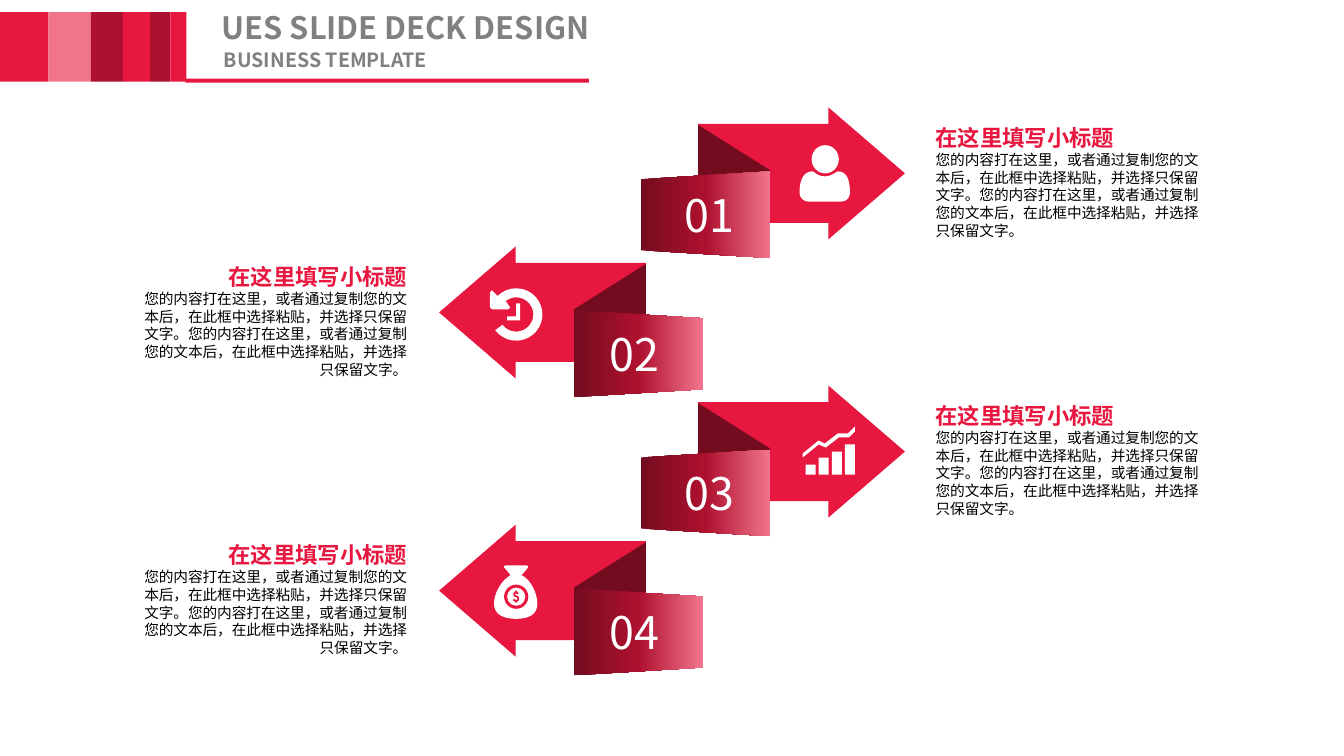
import copy
import math

import lxml.etree
import pptx
import pptx.dml.color
import pptx.enum.shapes
import pptx.enum.text
import pptx.oxml.ns
import pptx.util

Inches = pptx.util.Inches
SHAPE = pptx.enum.shapes.MSO_SHAPE
ALIGN = pptx.enum.text.PP_ALIGN
MIDDLE = pptx.enum.text.MSO_ANCHOR.MIDDLE
RGB = pptx.dml.color.RGBColor
RED = RGB(0xE8, 0x17, 0x3F)
PINK = RGB(0xF1, 0x74, 0x8C)
DARK = RGB(0xAE, 0x11, 0x2F)
DEEP = RGB(0x74, 0x0C, 0x1F)
GRAY = RGB(0x80, 0x80, 0x80)
BLACK = RGB(0, 0, 0)
WHITE = RGB(255, 255, 255)
FONT = "Noto Sans CJK SC"
HEAD = "在这里填写小标题"
BODY = "您的内容打在这里，或者通过复制您的文本后，在此框中选择粘贴，并选择只保留文字。" * 2
SPAN = 2.61


def paint(shape, color):
    """Fill a shape plainly, without line or shadow."""
    shape.shadow.inherit = False
    shape.line.fill.background()
    shape.fill.solid()
    shape.fill.fore_color.rgb = color


def block(slide, kind, x, y, w, h, color):
    """Add a plain preset shape."""
    shape = slide.shapes.add_shape(kind, Inches(x), Inches(y), Inches(w), Inches(h))
    paint(shape, color)
    return shape


def center(slide, kind, x, y, w, h, color):
    """Add a plain preset shape around a center point."""
    return block(slide, kind, x - w / 2, y - h / 2, w, h, color)


def outline(slide, x, y, points, color, close=True):
    """Add a freeform whose points are relative to a corner."""
    spots = [(Inches(x + a), Inches(y + b)) for a, b in points]
    maker = slide.shapes.build_freeform(*spots[0], scale=1.0)
    maker.add_line_segments(spots[1:], close=close)
    shape = maker.convert_to_shape()
    paint(shape, color)
    return shape


def curve(start, *parts):
    """Return points along straight parts (x, y) and cubic parts of six numbers."""
    points = [start]
    for part in parts:
        if len(part) == 2:
            points.append(part)
            continue
        knots = [points[-1], part[:2], part[2:4], part[4:]]
        for step in range(1, 9):
            t = step / 8
            rates = [math.comb(3, k) * t**k * (1 - t) ** (3 - k) for k in range(4)]
            points.append(tuple(sum(r * k[axis] for r, k in zip(rates, knots)) for axis in (0, 1)))
    return points


def arc(mid, radius, start, end):
    """Return points on a circle between two angles in degrees."""
    turns = [math.radians(start + (end - start) * k / 24) for k in range(25)]
    return [(mid + radius * math.cos(t), mid + radius * math.sin(t)) for t in turns]


def style(para, text, size, color, bold=False, align=ALIGN.LEFT):
    """Write one paragraph in the slide font."""
    para.text = text
    para.alignment = align
    font = para.font
    font.size = pptx.util.Pt(size)
    font.bold = bold
    font.color.rgb = color
    font.name = FONT
    latin = para._p.pPr.find(".//" + pptx.oxml.ns.qn("a:latin"))
    east = lxml.etree.Element(pptx.oxml.ns.qn("a:ea"), typeface=FONT)
    latin.addnext(east)


def label(slide, x, y, w, h, wrap=True):
    """Add a text frame without margins."""
    frame = slide.shapes.add_textbox(Inches(x), Inches(y), Inches(w), Inches(h)).text_frame
    frame.margin_left = frame.margin_right = frame.margin_top = frame.margin_bottom = 0
    frame.word_wrap = wrap
    return frame


def header(slide, x, y):
    """Draw the striped band, its rule and the two titles."""
    left = x
    stripes = [(0.48, RED), (0.42, PINK), (0.32, DARK), (0.27, RED), (0.2, DARK), (0.16, RED)]
    for width, color in stripes:
        block(slide, SHAPE.RECTANGLE, left, y, width, 0.69, color)
        left += width
    block(slide, SHAPE.RECTANGLE, x + 1.84, y + 0.66, 4, 0.04, RED)
    titles = [("UES SLIDE DECK DESIGN", 22, 2.2, 0, 4.86, 0.34, False),
              ("BUSINESS TEMPLATE", 14, 2.22, 0.38, 2.84, 0.22, True)]
    for text, size, dx, dy, w, h, wrap in titles:
        frame = label(slide, x + dx, y + dy, w, h, wrap)
        frame.vertical_anchor = MIDDLE
        style(frame.paragraphs[0], text, size, GRAY, True)
        frame.paragraphs[0].line_spacing = 0.9


def shade(shape, angle):
    """Give a shape the three-step red gradient."""
    shape.fill.gradient()
    shape.fill.gradient_angle = angle
    first = shape.fill.gradient_stops[0]._gs
    first.addnext(copy.deepcopy(first))
    for stop, place, color in zip(shape.fill.gradient_stops, (0, 0.5, 1), (DEEP, DARK, PINK)):
        stop.position = place
        stop.color.rgb = color


def ribbon(slide, x, y, number, right):
    """Draw a folded arrow with its number, pointing right or left."""
    def across(dx):
        return x + (dx if right else SPAN - dx)

    kind = SHAPE.RIGHT_ARROW if right else SHAPE.LEFT_ARROW
    arrow = center(slide, kind, across(1.59), y + 0.65, 2.05, 1.31, RED)
    arrow.adjustments[0], arrow.adjustments[1] = 0.75, 0.58
    fold = center(slide, SHAPE.PARALLELOGRAM, across(0.92), y + 0.83, 1.32, 0.71, DEEP)
    fold.adjustments[0] = 0.63
    fold.rotation = 90 if right else 270
    if not right:
        fold._element.spPr.xfrm.set("flipV", "1")
    band = center(slide, SHAPE.TRAPEZOID, across(0.64), y + 1.06, 0.86, 1.28, DARK)
    band.adjustments[0] = 0.09
    band.rotation = 270 if right else 90
    shade(band, 270 if right else 90)
    frame = band.text_frame
    frame.vertical_anchor = MIDDLE
    frame._txBody.bodyPr.set("vert", "vert" if right else "vert270")
    style(frame.paragraphs[0], number, 32, WHITE, align=ALIGN.CENTER)


def person(slide, x, y):
    """Draw a head and shoulders."""
    block(slide, SHAPE.OVAL, x + 0.12, y, 0.27, 0.28, WHITE)
    body = curve((0.41, 0.56), (0.09, 0.56), (0.04, 0.56, 0, 0.52, 0, 0.47),
                 (0, 0.39, 0.02, 0.26, 0.13, 0.26), (0.14, 0.26, 0.18, 0.31, 0.25, 0.31),
                 (0.32, 0.31, 0.37, 0.26, 0.38, 0.26), (0.49, 0.26, 0.5, 0.39, 0.5, 0.47),
                 (0.5, 0.52, 0.47, 0.56, 0.41, 0.56))
    outline(slide, x, y, body, WHITE)


def clock(slide, x, y):
    """Draw a circling arrow with clock hands."""
    ring = arc(0.26, 0.26, -135, 143) + arc(0.26, 0.17, 143, -128)
    tip = [(0.2, 0.19), (0.18, 0.21), (0.02, 0.21), (0, 0.19), (0, 0.04), (0.02, 0.02)]
    outline(slide, x, y, ring + tip, WHITE)
    hands = [(0.26, 0.15), (0.3, 0.15), (0.3, 0.32), (0.17, 0.32), (0.17, 0.28), (0.26, 0.28)]
    outline(slide, x, y, hands, WHITE)


def growth(slide, x, y):
    """Draw four rising bars under a trend line."""
    for k, height in enumerate((0.1, 0.17, 0.23, 0.3)):
        block(slide, SHAPE.RECTANGLE, x + 0.03 + 0.13 * k, y + 0.48 - height, 0.1, height, WHITE)
    trend = [(0.45, 0.07), (0.35, 0.07), (0.22, 0.17), (0.16, 0.14), (0, 0.27), (0, 0.31),
             (0.16, 0.18), (0.23, 0.21), (0.36, 0.11), (0.46, 0.11), (0.52, 0.05), (0.52, 0)]
    outline(slide, x, y, trend, WHITE)


def bag(slide, x, y):
    """Draw a money bag with a coin."""
    sack = curve((0.28, 0.1), (0.27, 0.09, 0.27, 0.09, 0.28, 0.09), (0.33, 0.03),
                 (0.34, 0.02, 0.34, 0, 0.32, 0), (0.12, 0), (0.1, 0, 0.09, 0.02, 0.11, 0.03),
                 (0.16, 0.09), (0.16, 0.1), (0.07, 0.15, 0, 0.28, 0, 0.38),
                 (0, 0.49, 0.1, 0.53, 0.22, 0.53), (0.34, 0.53, 0.43, 0.49, 0.43, 0.38),
                 (0.43, 0.28, 0.37, 0.15, 0.28, 0.1))
    outline(slide, x, y, sack, WHITE)
    for size, color in ((0.24, RED), (0.18, WHITE)):
        center(slide, SHAPE.OVAL, x + 0.22, y + 0.31, size, size, color)
    bend = curve((0.24, 0.28), (0.21, 0.26, 0.2, 0.27, 0.2, 0.29),
                 (0.2, 0.31, 0.24, 0.3, 0.24, 0.33), (0.24, 0.36, 0.21, 0.35, 0.19, 0.34))
    sign = outline(slide, x, y, bend, WHITE, close=False)
    sign.fill.background()
    sign.line.color.rgb = RED
    sign.line.width = pptx.util.Pt(1.25)
    for dy in (0.25, 0.35):
        block(slide, SHAPE.RECTANGLE, x + 0.21, y + dy, 0.02, 0.02, RED)


def note(slide, x, y, align):
    """Write a heading with its paragraph."""
    frame = label(slide, x, y, 2.72, 1.15)
    style(frame.paragraphs[0], HEAD, 16, RED, True, align)
    style(frame.add_paragraph(), BODY, 10.5, BLACK, align=align)


def main():
    """Build the slide and save it."""
    deck = pptx.Presentation()
    deck.slide_width, deck.slide_height = Inches(13.33), Inches(7.5)
    slide = deck.slides.add_slide(deck.slide_layouts[6])
    header(slide, 0, 0.12)
    icons = [(person, 7.93, 0.37), (clock, 4.86, 0.41), (growth, 7.96, 0.4), (bag, 4.9, 0.4)]
    for k, (icon, left, drop) in enumerate(icons):
        right = k % 2 == 0
        top = 1.07 + 1.38 * k
        ribbon(slide, 6.36 if right else 4.36, top, f"{k + 1:02}", right)
        icon(slide, left, top + drop)
        note(slide, 9.28 if right else 1.32, top + 0.16, ALIGN.LEFT if right else ALIGN.RIGHT)
    deck.save("out.pptx")


if __name__ == "__main__":
    main()
